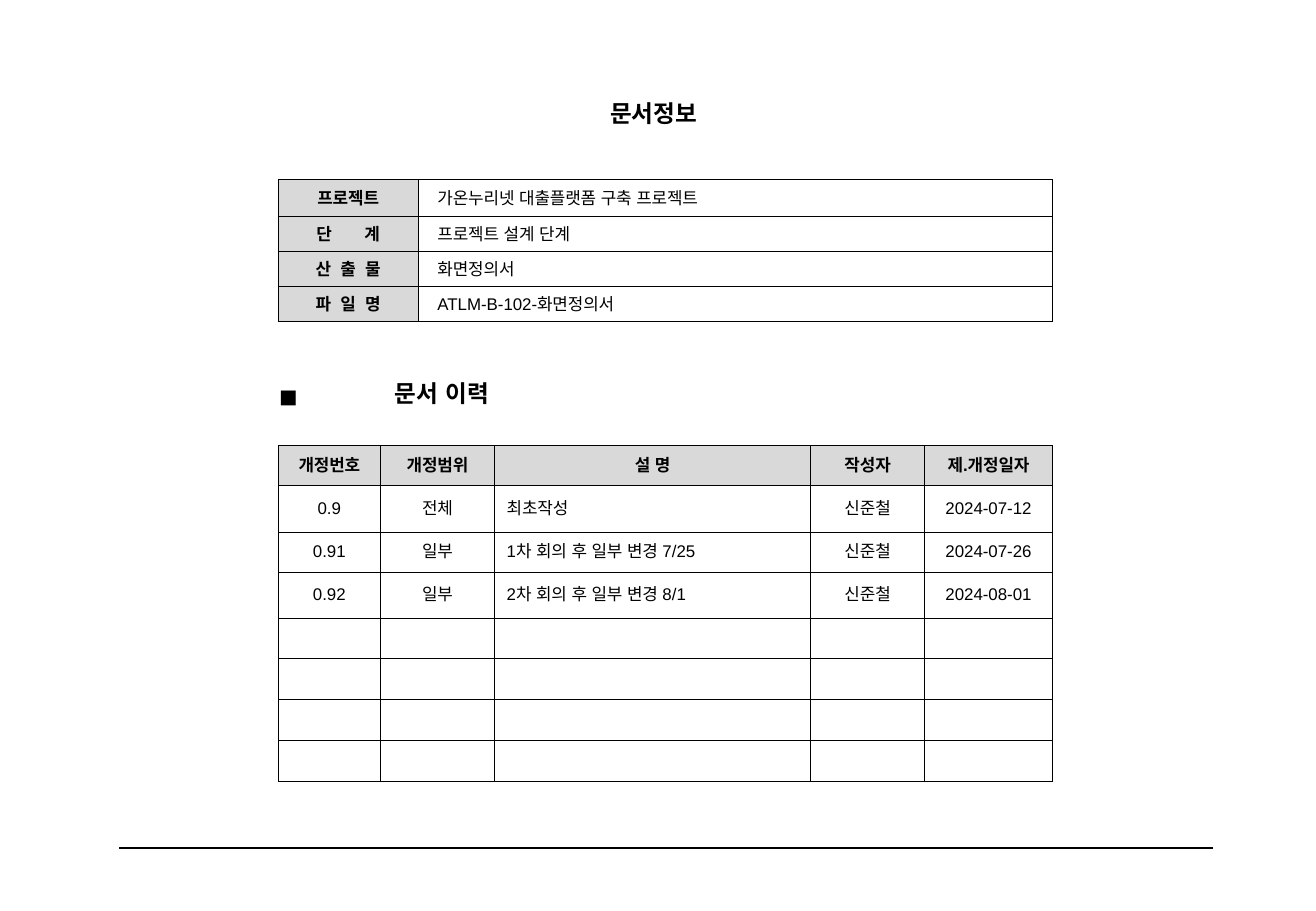
from dataclasses import dataclass

import pptx
import pptx.dml.color
import pptx.enum.shapes
import pptx.enum.text
import pptx.oxml.ns
import pptx.util
from lxml import etree
from pptx.util import Inches

RGB = pptx.dml.color.RGBColor
ALIGN = pptx.enum.text.PP_ALIGN
qn = pptx.oxml.ns.qn


@dataclass(frozen=True)
class Theme:
    ink: RGB = RGB(0, 0, 0)
    label: RGB = RGB(0xD9, 0xD9, 0xD9)
    latin: str = "Arial"
    korean: str = "Noto Sans CJK KR"
    title: int = 14
    marker: int = 11
    body: int = 10
    border: float = 0.5
    rule: float = 1.5


theme = Theme()
TIGHT = {"margin_left": Inches(0.01), "margin_right": Inches(0.01),
         "margin_top": Inches(0.01), "margin_bottom": 0}


def write(cell, text, size=theme.body, font=theme.latin, bold=False,
          align=ALIGN.LEFT, spacing=0, margins=None):
    """Fill a cell; spacing widens every gap between letters, in points."""
    for name, value in (margins or {}).items():
        setattr(cell, name, value)
    p = cell.text_frame.paragraphs[0]
    p.alignment = align
    if not text:
        p._p.get_or_add_endParaRPr().set("sz", str(size * 100))
        return
    parts = [(text[:-1], spacing), (text[-1:], 0)] if spacing else [(text, 0)]
    look = {"size": pptx.util.Pt(size), "name": font, "bold": bold}
    for part, gap in parts:
        r = p.add_run()
        r.text = part
        for name, value in look.items():
            setattr(r.font, name, value)
        r.font.color.rgb = theme.ink
        rPr = r._r.get_or_add_rPr()
        etree.SubElement(rPr, qn("a:ea"), typeface=theme.latin)
        if gap:
            rPr.set("spc", str(round(gap * 100)))


def add_grid(s, left, top, widths, heights, bordered=True):
    """Add a table without fills, its cells anchored in the middle."""
    table = s.shapes.add_table(
        len(heights), len(widths), Inches(left), Inches(top),
        Inches(sum(widths)), Inches(sum(heights))).table
    table.first_row = table.horz_banding = False
    for column, width in zip(table.columns, widths):
        column.width = Inches(width)
    for row, height in zip(table.rows, heights):
        row.height = Inches(height)
    for cell in table.iter_cells():
        cell.vertical_anchor = pptx.enum.text.MSO_ANCHOR.MIDDLE
        tcPr = cell._tc.get_or_add_tcPr()
        for side in ("a:lnL", "a:lnR", "a:lnT", "a:lnB"):
            ln = etree.SubElement(tcPr, qn(side), w=str(pptx.util.Pt(theme.border)))
            if bordered:
                fill = etree.SubElement(ln, qn("a:solidFill"))
                etree.SubElement(fill, qn("a:srgbClr"), val=str(theme.ink))
            else:
                etree.SubElement(ln, qn("a:noFill"))
        cell.fill.background()
    return table


prs = pptx.Presentation()
prs.slide_width, prs.slide_height = Inches(10.83), Inches(7.5)
s = prs.slides.add_slide(prs.slide_layouts[6])

rule = s.shapes.add_connector(
    pptx.enum.shapes.MSO_CONNECTOR.STRAIGHT,
    Inches(0.98), Inches(6.98), Inches(9.98), Inches(6.98))
rule.line.color.rgb = theme.ink
rule.line.width = pptx.util.Pt(theme.rule)
etree.SubElement(rule._element.spPr, qn("a:effectLst"))

# Document information: label, letter spacing, value
info = [
    ("프로젝트", 0, "가온누리넷 대출플랫폼 구축 프로젝트"),
    ("단 계", 8.3, "프로젝트 설계 단계"),
    ("산 출 물", 1.4, "화면정의서"),
    ("파 일 명", 1.4, "ATLM-B-102-화면정의서"),
]
table = add_grid(s, 2.29, 1.48, [1.15, 5.22], [0.3, 0.29, 0.29, 0.29])
for i, (label, spacing, value) in enumerate(info):
    cell = table.cell(i, 0)
    cell.fill.solid()
    cell.fill.fore_color.rgb = theme.label
    write(cell, label, bold=True, align=ALIGN.CENTER, spacing=spacing, margins=TIGHT)
    write(table.cell(i, 1), value, margins=TIGHT | {"margin_left": Inches(0.16)})

# Headings, each a one-cell table
headings = [
    ("문서정보", 3.15, 0.7, 4.46, 0.48, theme.title, ALIGN.CENTER),
    ("문서 이력", 3.24, 2.95, 4.46, 0.59, theme.title, ALIGN.LEFT),
    ("■", 2.29, 3.04, 0.59, 0.45, theme.marker, ALIGN.LEFT),
]
for text, left, top, width, height, size, align in headings:
    table = add_grid(s, left, top, [width], [height], bordered=False)
    write(table.cell(0, 0), text, size, theme.korean, True, align, margins=TIGHT)

# Revision history
history = [
    ("개정번호", "개정범위", "설 명", "작성자", "제.개정일자"),
    ("0.9", "전체", "최초작성", "신준철", "2024-07-12"),
    ("0.91", "일부", "1차 회의 후 일부 변경 7/25", "신준철", "2024-07-26"),
    ("0.92", "일부", "2차 회의 후 일부 변경 8/1", "신준철", "2024-08-01"),
] + [("",) * 5] * 4
table = add_grid(s, 2.29, 3.67, [0.84, 0.94, 2.6, 0.94, 1.05],
                 [0.33, 0.38, 0.33, 0.38, 0.33, 0.34, 0.34, 0.33])
for i, row in enumerate(history):
    for j, text in enumerate(row):
        cell = table.cell(i, j)
        header = i == 0
        if header:
            cell.fill.solid()
            cell.fill.fore_color.rgb = theme.label
        align = ALIGN.LEFT if j == 2 and not header else ALIGN.CENTER
        write(cell, text, bold=header, align=align)

prs.save("out.pptx")
